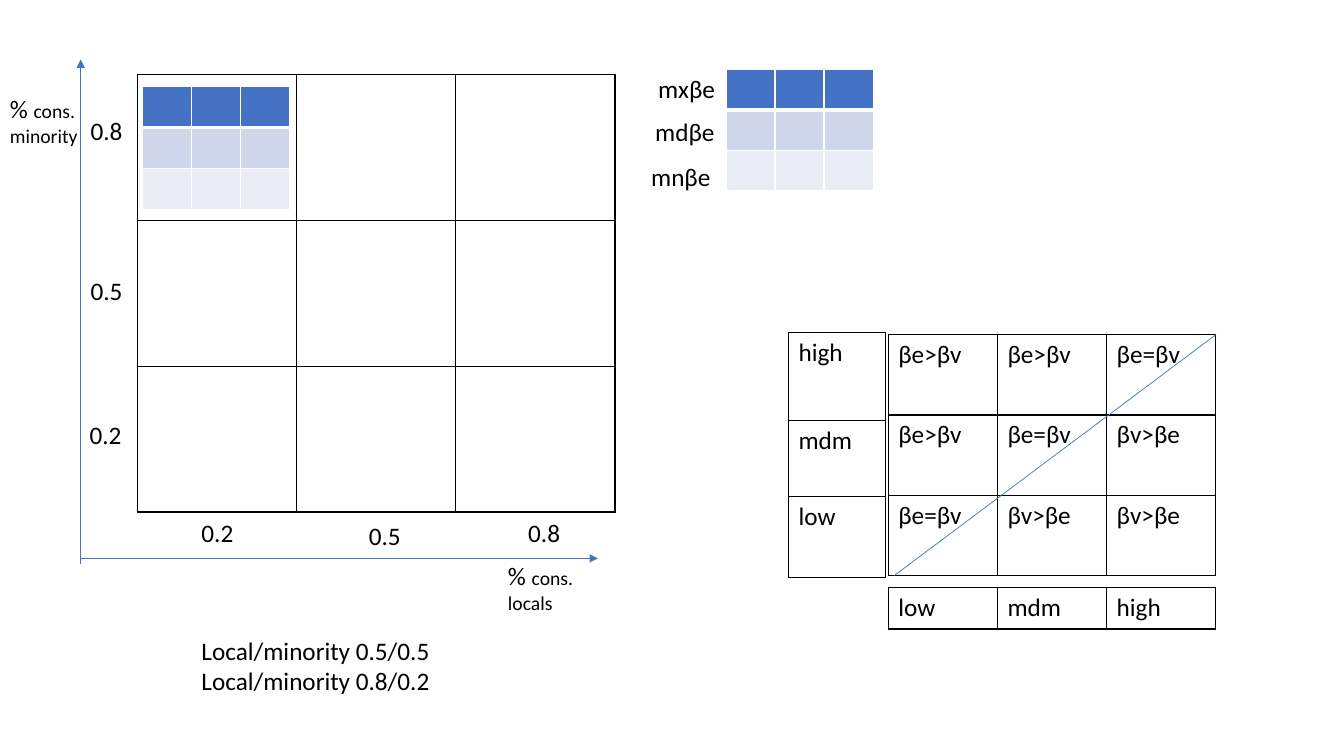
from dataclasses import dataclass

from lxml import etree
from pptx import Presentation
from pptx import util as u
from pptx.dml.color import RGBColor
from pptx.enum import shapes
from pptx.oxml.ns import qn


@dataclass(frozen=True)
class Theme:
    """Colours, font and sizes of the slide."""
    font: str = "Calibri"
    body: int = 18
    small: int = 14
    ink: str = "000000"
    white: str = "FFFFFF"
    accent: str = "4472C4"
    bands: tuple = ("4472C4", "CFD5EA", "E9EBF5")


THEME = Theme()


def style_run(r, size=THEME.body):
    """Apply the theme font to a run."""
    r.font.name = THEME.font
    r.font.size = u.Pt(size)
    r.font.bold = False
    r.font.color.rgb = RGBColor.from_string(THEME.ink)


def add_label(s, x, y, w, h, *lines, wrap=True):
    """Add a text box whose lines are lists of (text, size) runs."""
    tf = s.shapes.add_textbox(*map(u.Inches, (x, y, w, h))).text_frame
    tf.word_wrap = wrap
    for i, line in enumerate(lines):
        p = tf.add_paragraph() if i else tf.paragraphs[0]
        for words, size in line:
            r = p.add_run()
            r.text = words
            style_run(r, size)


def add_line(s, x1, y1, x2, y2, arrow=False):
    """Add a thin accent line, with an arrowhead at its end if asked."""
    line = s.shapes.add_connector(shapes.MSO_CONNECTOR.STRAIGHT,
                                  *map(u.Inches, (x1, y1, x2, y2)))
    line.line.color.rgb = RGBColor.from_string(THEME.accent)
    line.line.width = u.Pt(0.5)
    if arrow:
        etree.SubElement(line.line._get_or_add_ln(), qn("a:tailEnd"), type="triangle")
    etree.SubElement(line._element.spPr, qn("a:effectLst"))


def set_borders(cell, color, top=1, bottom=1):
    """Draw the four borders of a cell."""
    tcPr = cell._tc.get_or_add_tcPr()
    for i, (side, width) in enumerate(zip("LRTB", (1, 1, top, bottom))):
        ln = etree.Element(qn("a:ln" + side), w=str(u.Pt(width)))
        fill = etree.SubElement(ln, qn("a:solidFill"))
        etree.SubElement(fill, qn("a:srgbClr"), val=color)
        tcPr.insert(i, ln)


def add_grid(s, x, y, w, heights, rows, bands=None):
    """Add a table of equal columns, ruled in black or banded with white rules."""
    cols = len(rows[0])
    table = s.shapes.add_table(len(rows), cols,
                               *map(u.Inches, (x, y, w, sum(heights)))).table
    table.first_row = table.horz_banding = False
    for col in table.columns:
        col.width = u.Inches(w / cols)
    for i, (height, row) in enumerate(zip(heights, rows)):
        table.rows[i].height = u.Inches(height)
        for j, words in enumerate(row):
            cell = table.cell(i, j)
            if bands:
                cell.fill.solid()
                cell.fill.fore_color.rgb = RGBColor.from_string(bands[i])
                set_borders(cell, THEME.white, 3 if i == 1 else 1, 3 if i == 0 else 1)
            else:
                cell.fill.background()
                set_borders(cell, THEME.ink)
            if words:
                cell.text = words
                style_run(cell.text_frame.paragraphs[0].runs[0])


def add_swatch(s, x, y):
    """Add the small banded three by three table."""
    add_grid(s, x, y, 1.46, [0.4] * 3, [[""] * 3] * 3, THEME.bands)


def add_share_chart(s, x, y, w, h):
    """Add the locals by minority grid with its axes and labels."""
    axis_x, axis_y = x - 0.56, y + h + 0.46
    add_line(s, axis_x, axis_y + 0.06, axis_x, y - 0.15, arrow=True)
    add_line(s, axis_x, axis_y, x + w - 0.17, axis_y, arrow=True)
    add_grid(s, x, y, w, [h / 3] * 3, [[""] * 3] * 3)
    add_swatch(s, x + 0.05, y + 0.12)
    ticks = [("0.8", x - 0.56, y + 0.35), ("0.5", x - 0.56, y + 1.94),
             ("0.2", x - 0.57, y + 3.37), ("0.2", x + 0.54, y + h),
             ("0.5", x + 2.2, y + h + 0.03), ("0.8", x + 3.78, y + h)]
    for words, left, top in ticks:
        add_label(s, left, top, 0.56, 0.4, [(words, THEME.body)])
    for group, left, top in [("minority", x - 1.36, y + 0.14),
                             ("locals", x + 3.58, y + h + 0.43)]:
        add_label(s, left, top, 0.96, 0.64,
                  [("% ", THEME.body), ("cons.", THEME.small)], [(group, THEME.small)])
    add_label(s, x + 0.54, y + h + 1.17, 2.49, 0.71,
              [("Local/minority 0.5/0.5", THEME.body)],
              [("Local/minority 0.8/0.2", THEME.body)], wrap=False)


def add_legend(s, x, y):
    """Add the banded key with a label beside each row."""
    add_swatch(s, x, y)
    for words, dx, dy in [("mxβe", -0.77, -0.01), ("mdβe", -0.8, 0.42),
                          ("mnβe", -0.84, 0.86)]:
        add_label(s, x + dx, y + dy, 0.92, 0.4, [(words, THEME.body)])


def add_beta_matrix(s, x, y, w, h):
    """Add the βe and βv comparison matrix with its level scales."""
    levels = ["low", "mdm", "high"]
    signs = ["βe>βv", "βe=βv", "βv>βe"]
    rows = [[signs[(i + j > 2) - (i + j < 2) + 1] for j in range(3)] for i in range(3)]
    add_grid(s, x, y, w, [h / 3] * 3, rows)
    add_line(s, x + 0.06, y + h, x + w, y)
    add_grid(s, x - 0.99, y - 0.02, 0.96, [0.87, 0.76, 0.8],
             [[level] for level in reversed(levels)])
    add_grid(s, x, y + h + 0.12, w, [0.41], [levels])


def main():
    """Build and save the slide."""
    prs = Presentation()
    prs.slide_width, prs.slide_height = u.Inches(13.33), u.Inches(7.5)
    s = prs.slides.add_slide(prs.slide_layouts[6])
    add_share_chart(s, 1.36, 0.74, 4.74, 4.34)
    add_legend(s, 7.2, 0.69)
    add_beta_matrix(s, 8.81, 3.32, 3.25, 2.39)
    prs.save("out.pptx")


if __name__ == "__main__":
    main()
